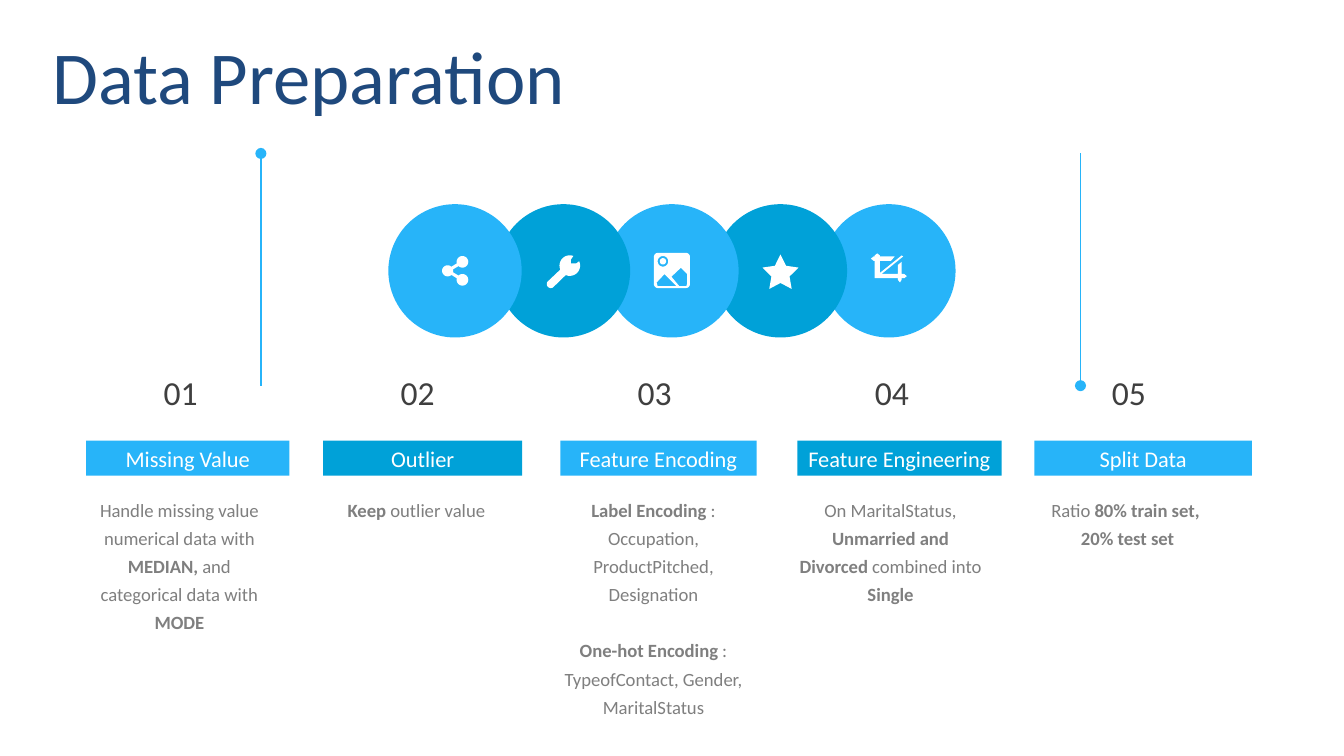
from math import cos, radians, sin

from lxml.etree import SubElement
from pptx import Presentation
from pptx.dml.color import RGBColor
from pptx.enum.shapes import MSO_CONNECTOR as Connector, MSO_SHAPE as Shape
from pptx.enum.text import MSO_ANCHOR as Anchor, MSO_AUTO_SIZE as AutoSize, PP_ALIGN as Align
from pptx.oxml.ns import qn
from pptx.util import Cm, Pt

COLOURS = {
    "light": "27B4F9",
    "dark": "00A1D8",
    "white": "FFFFFF",
    "title": "1F497D",
    "number": "3F3F3F",
    "body": "7F7F7F",
}
FONT = "Calibri"
COLUMN_STEP = 4.48
CIRCLE_STEP = 2.05
CIRCLE_SIZE = 2.52
CIRCLE_MIDDLE = 5.12

STEPS = [
    ("Missing Value", 3.84, [
        [("Handle missing value numerical data with ", False), ("MEDIAN, ", True), ("and", False)],
        [("categorical data with", False), (" MODE", True)],
    ]),
    ("Outlier", 3.76, [[("Keep ", True), ("outlier value", False)]]),
    ("Feature Encoding", 3.71, [
        [("Label Encoding", True), (" : Occupation, ProductPitched, Designation", False)],
        [("One-hot Encoding", True), (" :", False)],
        [("TypeofContact, Gender, MaritalStatus", False)],
    ]),
    ("Feature Engineering", 3.86, [
        [("On MaritalStatus, ", False), ("Unmarried and Divorced ", True),
         ("combined into ", False), ("Single", True)],
    ]),
    ("Split Data", 4.11, [
        [("Ratio ", False), ("80% train set, ", True)],
        [("20% test set", True)],
    ]),
]


def colour(name):
    """Return the named colour."""
    return RGBColor.from_string(COLOURS[name])


def arc(x, y, radius, start, end):
    """Return points along a clockwise arc, angles in degrees."""
    count = max(2, int((end - start) / 12))
    angles = [radians(start + (end - start) * i / count) for i in range(count + 1)]
    return [(x + radius * cos(angle), y + radius * sin(angle)) for angle in angles]


def share_icon():
    """Return the outline of three linked dots, in millimetres."""
    return [
        arc(-1.4, 0, 1.05, 47, 313)
        + arc(1.4, -1.7, 1.1, 165, 493)
        + arc(-1.4, 0, 1.05, -15, 15)
        + arc(1.4, 1.7, 1.1, 227, 555)
    ]


def wrench_icon():
    """Return the outline of a wrench, in millimetres."""
    notch = [(1.4, -2.1), (1.4, -1.4), (2.4, -1.4)]
    return [
        arc(1.2, -1, 1.95, -25, 113)
        + arc(-2.4, 2.5, 0.75, 45, 225)
        + arc(1.2, -1, 1.95, 157, 290)
        + notch
    ]


def picture_icon():
    """Return a rounded frame with a sun and two hills, in millimetres."""
    corners = [(2.65, -2.65, -90), (2.65, 2.5, 0), (-2.65, 2.5, 90), (-2.65, -2.65, 180)]
    frame = [point for x, y, start in corners for point in arc(x, y, 0.75, start, start + 90)]
    suns = [arc(-1.7, -1.8, radius, 0, 360) for radius in (1, 0.6)]
    left_hill = [(-2.9, 2.2), (-1.4, 0.6), (0.9, 2.9), (-2.7, 2.9)]
    right_hill = [(1.4, 2.9), (-0.1, 1.1), (1.7, -0.6), (2.9, 0.6), (2.9, 2.4), (2.7, 2.9)]
    return [frame, *suns, left_hill, right_hill]


def star_icon():
    """Return a five-pointed star, in millimetres."""
    corners = [(3.6 if i % 2 == 0 else 1.8, radians(36 * i - 90)) for i in range(10)]
    return [[(radius * cos(angle), 0.5 + radius * sin(angle)) for radius, angle in corners]]


def crop_icon():
    """Return a crop tool, in millimetres."""
    return [[
        (2.9, 0.6), (2.4, 0.6), (2.4, -1.7), (1.7, -1.1), (1.7, 0.6), (-1.4, 0.6),
        (2.7, -2.7), (2.4, -2.9), (-1.7, 0.4), (-1.7, -1.9), (0.4, -1.9), (1.1, -2.7),
        (-1.7, -2.7), (-1.7, -2.9), (-2.2, -3.3), (-2.7, -2.9), (-2.7, -2.7),
        (-2.9, -2.7), (-3.4, -2.3), (-2.9, -1.9), (-2.7, -1.9), (-2.7, 1.4),
        (1.7, 1.4), (1.7, 1.7), (2.1, 2.2), (2.4, 1.7), (2.4, 1.4), (2.9, 1.4), (3.4, 1),
    ]]


def paint(shape, name):
    """Give a shape a plain fill with no line or shadow."""
    shape.shadow.inherit = False
    shape.fill.solid()
    shape.fill.fore_color.rgb = colour(name)
    shape.line.fill.background()


def write(shape, paragraphs, size, name, align=Align.CENTER, anchor=Anchor.TOP, inset=(0.16, 0.08)):
    """Fill a shape's text frame run by run and return its paragraphs."""
    frame = shape.text_frame
    frame.word_wrap = True
    frame.auto_size = AutoSize.NONE
    frame.vertical_anchor = anchor
    frame.margin_left = frame.margin_right = Cm(inset[0])
    frame.margin_top = frame.margin_bottom = Cm(inset[1])
    for i, runs in enumerate(paragraphs):
        para = frame.add_paragraph() if i else frame.paragraphs[0]
        para.alignment = align
        for text, bold in runs:
            span = para.add_run()
            span.text = text
            span.font.name = FONT
            span.font.size = Pt(size)
            span.font.bold = bold
            span.font.color.rgb = colour(name)
    return frame.paragraphs


def add_title(page, text):
    """Place the slide title."""
    title = page.shapes.title
    title.left, title.top, title.width, title.height = Cm(0.81), Cm(0.46), Cm(13.94), Cm(1.9)
    write(title, [[(text, False)]], 40, "title", Align.LEFT, inset=(0.18, 0.1))


def add_pin(page, x, start, end):
    """Draw a vertical line that ends in a dot."""
    pin = page.shapes.add_connector(Connector.STRAIGHT, Cm(x), Cm(start), Cm(x), Cm(end))
    pin.line.color.rgb = colour("light")
    pin.line.width = Pt(0.75)
    properties = pin.element.spPr
    SubElement(properties.find(qn("a:ln")), qn("a:tailEnd"), type="oval")
    SubElement(properties, qn("a:effectLst"))


def add_icon(page, x, y, contours):
    """Draw white contours, given in millimetres, around a centre."""
    builder = page.shapes.build_freeform(scale=1.0)
    for contour in contours:
        points = [(Cm(x + across / 10), Cm(y + down / 10)) for across, down in contour]
        if contour is contours[0]:
            builder = page.shapes.build_freeform(*points[0], scale=1.0)
        else:
            builder.move_to(*points[0])
        builder.add_line_segments(points[1:], close=True)
    paint(builder.convert_to_shape(), "white")


def add_circle(page, index, contours):
    """Draw one circle of the chain with its icon."""
    middle = 8.6 + CIRCLE_STEP * index
    half = CIRCLE_SIZE / 2
    circle = page.shapes.add_shape(Shape.OVAL, Cm(middle - half), Cm(CIRCLE_MIDDLE - half),
                                   Cm(CIRCLE_SIZE), Cm(CIRCLE_SIZE))
    paint(circle, "dark" if index % 2 else "light")
    add_icon(page, middle, CIRCLE_MIDDLE, contours)


def add_step(page, index, heading, width, paragraphs):
    """Draw one column: heading bar, description and number."""
    left = 1.63 + COLUMN_STEP * index
    bar = page.shapes.add_shape(Shape.RECTANGLE, Cm(left), Cm(8.33), Cm(width), Cm(0.66))
    paint(bar, "dark" if index % 2 else "light")
    write(bar, [[(heading, False)]], 12, "white", anchor=Anchor.MIDDLE)

    box = page.shapes.add_textbox(Cm(left - 0.16), Cm(9.25), Cm(3.84), Cm(4.3))
    for para in write(box, paragraphs, 10, "body"):
        para.line_spacing = 1.25
        if para.text.startswith("One-hot"):
            para.space_before = Pt(15)

    number = page.shapes.add_textbox(Cm(left + 1.01), Cm(6.96), Cm(1.55), Cm(0.91))
    write(number, [[(f"{index + 1:02}", False)]], 18, "number")


def main():
    """Build and save the deck."""
    deck = Presentation()
    deck.slide_width, deck.slide_height = Cm(25.4), Cm(14.29)
    page = deck.slides.add_slide(deck.slide_layouts[5])
    add_title(page, "Data Preparation")
    add_pin(page, 20.42, 2.9, 7.29)
    add_pin(page, 4.93, 7.29, 2.9)
    icons = [share_icon(), wrench_icon(), picture_icon(), star_icon(), crop_icon()]
    for index in reversed(range(len(icons))):
        add_circle(page, index, icons[index])
    for index, step in enumerate(STEPS):
        add_step(page, index, *step)
    deck.save("out.pptx")


if __name__ == "__main__":
    main()
